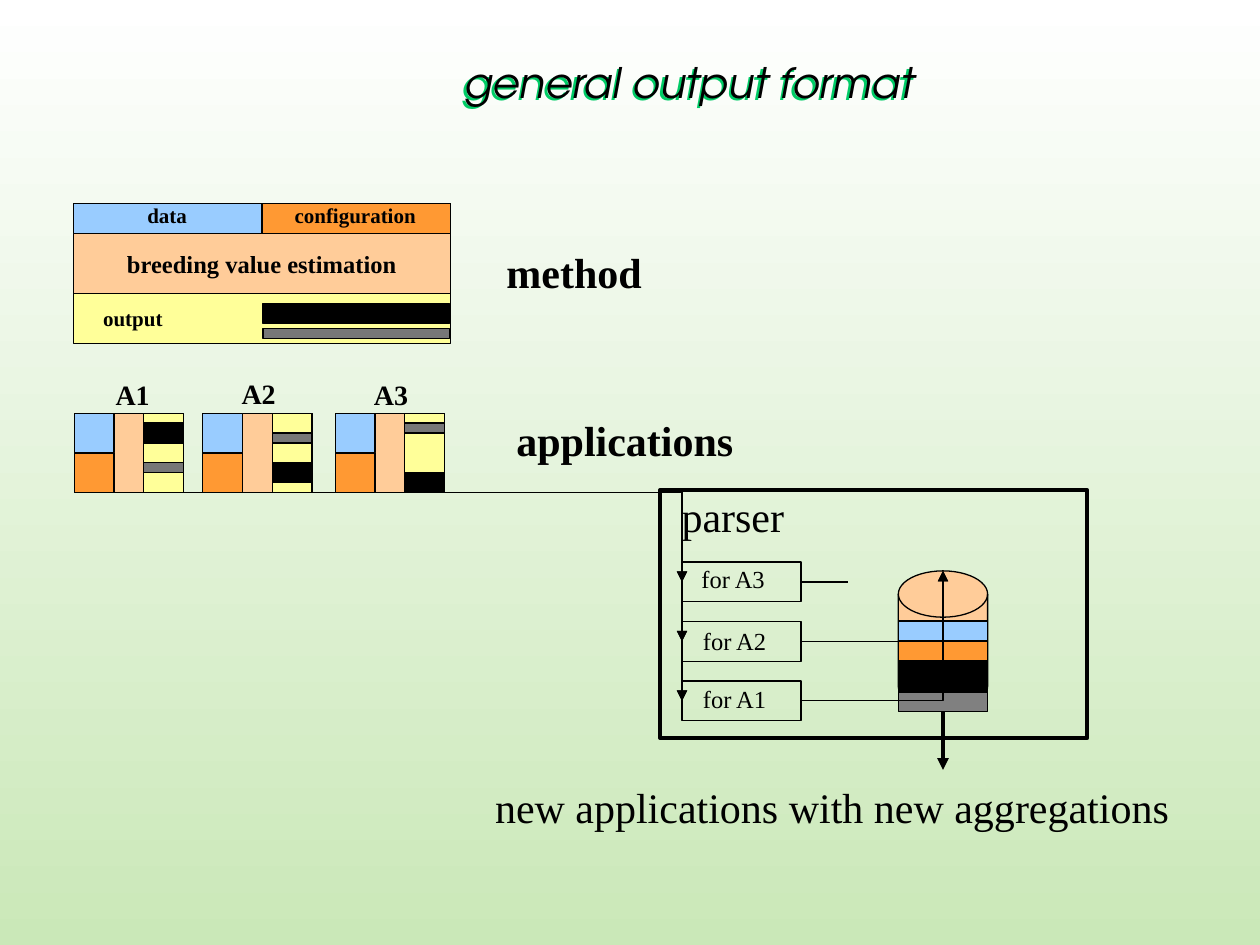
"""Build the slide on the general output format of breeding value estimation."""
from dataclasses import dataclass

import lxml.etree
import pptx
import pptx.dml.color
import pptx.enum.shapes
import pptx.enum.text
import pptx.oxml
import pptx.oxml.ns
import pptx.util

Cm = pptx.util.Cm
Pt = pptx.util.Pt
qn = pptx.oxml.ns.qn
MSO_SHAPE = pptx.enum.shapes.MSO_SHAPE
CONNECTOR = pptx.enum.shapes.MSO_CONNECTOR
ALIGN = pptx.enum.text.PP_ALIGN

COLORS = {
    "ink": "000000", "method": "FFCC99", "output": "FFFF99", "data": "99CCFF",
    "config": "FF9933", "gray": "777777", "disk_gray": "808080",
    "top": "FFFFFF", "bottom": "CAE8B8", "title_shadow": "00CC66",
}
SERIF = "Times New Roman"
UNIT = 0.2
APP_TOP = 8.33
APP_HEIGHT = 8 * UNIT
PARSER_LEFT, PARSER_TOP, PARSER_STEP = 13.75, 11.33, 1.2
PARSER_WIDTH, PARSER_HEIGHT = 2.4, 0.8
DISK_LEFT, DISK_TOP, DISK_WIDTH = 18.11, 11.51, 1.8


@dataclass
class Block:
    left: float
    top: float
    width: float
    height: float
    fill: str | None = None
    line: float = 0.75
    kind: int = MSO_SHAPE.RECTANGLE


@dataclass
class Label:
    text: str
    left: float
    top: float
    width: float
    height: float
    size: int
    bold: bool = False
    wrap: bool = True
    align: int = ALIGN.LEFT


@dataclass
class Application:
    name: str
    left: float
    label_left: float
    label_top: float
    black_row: int
    gray_row: int
    parser_row: int


@dataclass
class Link:
    start: tuple[float, float]
    end: tuple[float, float]
    bent: bool = False
    arrow: bool = True
    line: float = 0.75


APPLICATIONS = [
    Application("A1", 1.5, 2.08, 7.54, 1, 5, 2),
    Application("A2", 4.09, 4.62, 7.52, 5, 2, 1),
    Application("A3", 6.76, 7.29, 7.54, 6, 1, 0),
]


def rgb(name: str) -> pptx.dml.color.RGBColor:
    return pptx.dml.color.RGBColor.from_string(COLORS[name])


def draw_block(s, b: Block) -> None:
    sp = s.shapes.add_shape(b.kind, Cm(b.left), Cm(b.top), Cm(b.width), Cm(b.height))
    sp.shadow.inherit = False
    if b.fill:
        sp.fill.solid()
        sp.fill.fore_color.rgb = rgb(b.fill)
    else:
        sp.fill.background()
    sp.line.color.rgb = rgb("ink")
    sp.line.width = Pt(b.line)


def add_run(p, text: str, font: str, size: int, bold: bool = False, italic: bool = False) -> None:
    r = p.add_run()
    r.text = text
    r.font.name = font
    r.font.size = Pt(size)
    r.font.bold = bold
    r.font.italic = italic
    r.font.color.rgb = rgb("ink")


def draw_label(s, t: Label) -> None:
    sp = s.shapes.add_textbox(Cm(t.left), Cm(t.top), Cm(t.width), Cm(t.height))
    tf = sp.text_frame
    tf.word_wrap = t.wrap
    tf.auto_size = pptx.enum.text.MSO_AUTO_SIZE.SHAPE_TO_FIT_TEXT
    p = tf.paragraphs[0]
    p.alignment = t.align
    p.line_spacing = 0.93
    add_run(p, t.text, SERIF, t.size, t.bold)


def draw_link(s, k: Link) -> None:
    kind = CONNECTOR.ELBOW if k.bent else CONNECTOR.STRAIGHT
    sp = s.shapes.add_connector(kind, *(Cm(v) for v in k.start + k.end))
    sp.line.color.rgb = rgb("ink")
    sp.line.width = Pt(k.line)
    sp_pr = sp._element.spPr
    if k.bent:
        sp_pr.find(qn("a:prstGeom")).set("prst", "bentConnector2")
    if k.arrow:
        lxml.etree.SubElement(sp_pr.find(qn("a:ln")), qn("a:tailEnd"), type="triangle")
    lxml.etree.SubElement(sp_pr, qn("a:effectLst"))


def draw_title(s) -> None:
    sp = s.shapes.title
    sp.left, sp.top, sp.width, sp.height = Cm(3.1), Cm(0.86), Cm(21.59), Cm(1.42)
    tf = sp.text_frame
    tf.word_wrap = True
    tf.vertical_anchor = pptx.enum.text.MSO_ANCHOR.BOTTOM
    p = tf.paragraphs[0]
    p.alignment = ALIGN.CENTER
    add_run(p, "general output format", "TeX Gyre Adventor", 24, italic=True)
    effects = lxml.etree.SubElement(sp._element.spPr, qn("a:effectLst"))
    shadow = lxml.etree.SubElement(effects, qn("a:outerShdw"), dist="25400", dir="8100000")
    lxml.etree.SubElement(shadow, qn("a:srgbClr"), val=COLORS["title_shadow"])


def draw_application(s, a: Application) -> None:
    half = APP_HEIGHT / 2
    out = a.left + 7 * UNIT
    for b in (
        Block(a.left, APP_TOP, 11 * UNIT, APP_HEIGHT, "method"),
        Block(out, APP_TOP, half, APP_HEIGHT, "output"),
        Block(a.left, APP_TOP, half, half, "data"),
        Block(a.left, APP_TOP + half, half, half, "config"),
        Block(out, APP_TOP + a.black_row * UNIT, half, 2 * UNIT, "ink"),
        Block(out, APP_TOP + a.gray_row * UNIT, half, UNIT, "gray"),
    ):
        draw_block(s, b)
    draw_label(s, Label(a.name, a.label_left, a.label_top, 1.22, 0.84, 16, True))


def draw_method(s) -> None:
    draw_block(s, Block(1.48, 4.11, 7.6, 2.8, "method"))
    draw_label(s, Label("breeding value estimation", 2.31, 4.95, 5.94, 0.76, 14, True, False, ALIGN.CENTER))
    for b in (
        Block(1.48, 5.92, 7.6, 1, "output"),
        Block(5.3, 6.12, 3.77, 0.4, "ink"),
        Block(5.3, 6.63, 3.77, 0.2, "gray"),
        Block(1.48, 4.11, 3.8, 0.6, "data"),
        Block(5.28, 4.11, 3.8, 0.6, "config"),
    ):
        draw_block(s, b)
    for t in (
        Label("data", 2.72, 4.01, 1.38, 0.69, 12, True),
        Label("configuration", 5.69, 4.01, 3.2, 0.69, 12, True),
        Label("output", 1.83, 6.07, 1.8, 0.69, 12, True),
        Label("method", 9.96, 4.93, 3.58, 1.14, 24, True),
        Label("applications", 10.16, 8.33, 5.49, 1.14, 24, True),
    ):
        draw_label(s, t)


def draw_parser(s) -> None:
    draw_block(s, Block(13.31, 9.88, 8.61, 5, line=2.25))
    draw_label(s, Label("parser", 13.49, 9.86, 2.92, 1.14, 24))
    tops = [PARSER_TOP + i * PARSER_STEP for i in range(3)]
    middles = [top + PARSER_HEIGHT / 2 for top in tops]
    for top in tops:
        draw_block(s, Block(PARSER_LEFT, top, PARSER_WIDTH, PARSER_HEIGHT))
    for a in APPLICATIONS:
        for offset in (2 * UNIT, 9 * UNIT):
            start = (a.left + offset, APP_TOP + APP_HEIGHT)
            draw_link(s, Link(start, (PARSER_LEFT, middles[a.parser_row]), bent=True))
    for name, left, top in (("A3", 13.89, 11.3), ("A2", 13.92, 12.55), ("A1", 13.92, 13.72)):
        draw_label(s, Label(f"for {name}", left, top, 1.85, 0.76, 14))

    draw_block(s, Block(DISK_LEFT, DISK_TOP, DISK_WIDTH, 2.8, "method", kind=MSO_SHAPE.FLOWCHART_MAGNETIC_DISK))
    top = 12.52
    for fill, height in (("data", 0.4), ("config", 0.4), ("ink", 0.63), ("disk_gray", 0.4)):
        draw_block(s, Block(DISK_LEFT, top, DISK_WIDTH, height, fill))
        top += height
    right, center = PARSER_LEFT + PARSER_WIDTH, DISK_LEFT + DISK_WIDTH / 2
    for y in middles[1:]:
        draw_link(s, Link((right, y), (center, DISK_TOP), bent=True))
    draw_link(s, Link((right, middles[0]), (17.09, middles[0]), arrow=False))
    draw_link(s, Link((center, top), (center, 15.52), line=2.25))
    draw_label(s, Label("new applications with new aggregations", 9.73, 15.72, 15.52, 1.14, 24))


def main() -> None:
    prs = pptx.Presentation()
    prs.slide_width, prs.slide_height = Cm(25.4), Cm(19.05)
    s = prs.slides.add_slide(prs.slide_layouts[5])
    fill = s.background.fill
    fill.gradient()
    fill.gradient_angle = 270
    for stop, name, position in zip(fill.gradient_stops, ("top", "bottom"), (0, 1)):
        stop.color.rgb = rgb(name)
        stop.position = position
    draw_title(s)
    for a in APPLICATIONS:
        draw_application(s, a)
    draw_method(s)
    draw_parser(s)
    prs.save("out.pptx")


if __name__ == "__main__":
    main()
